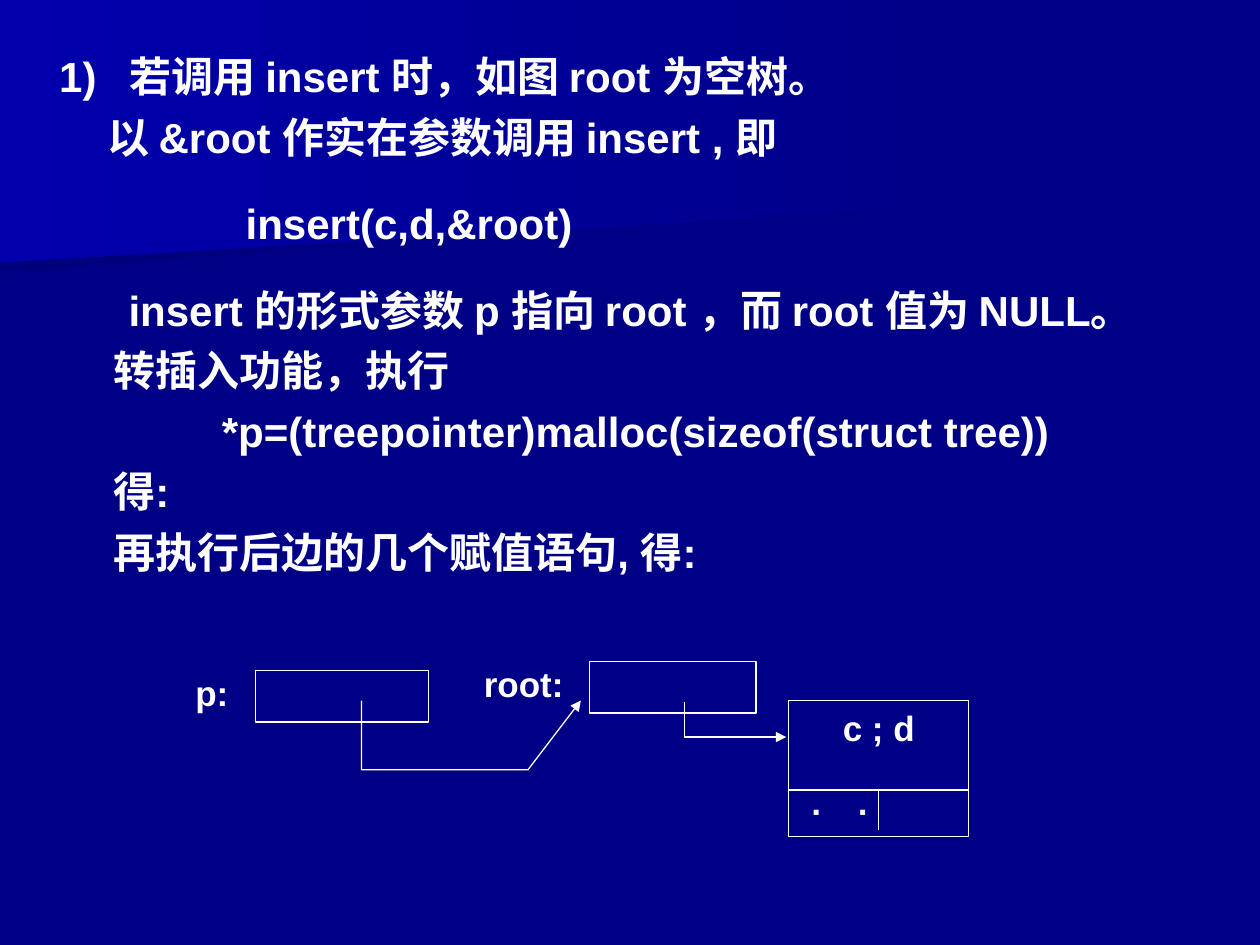
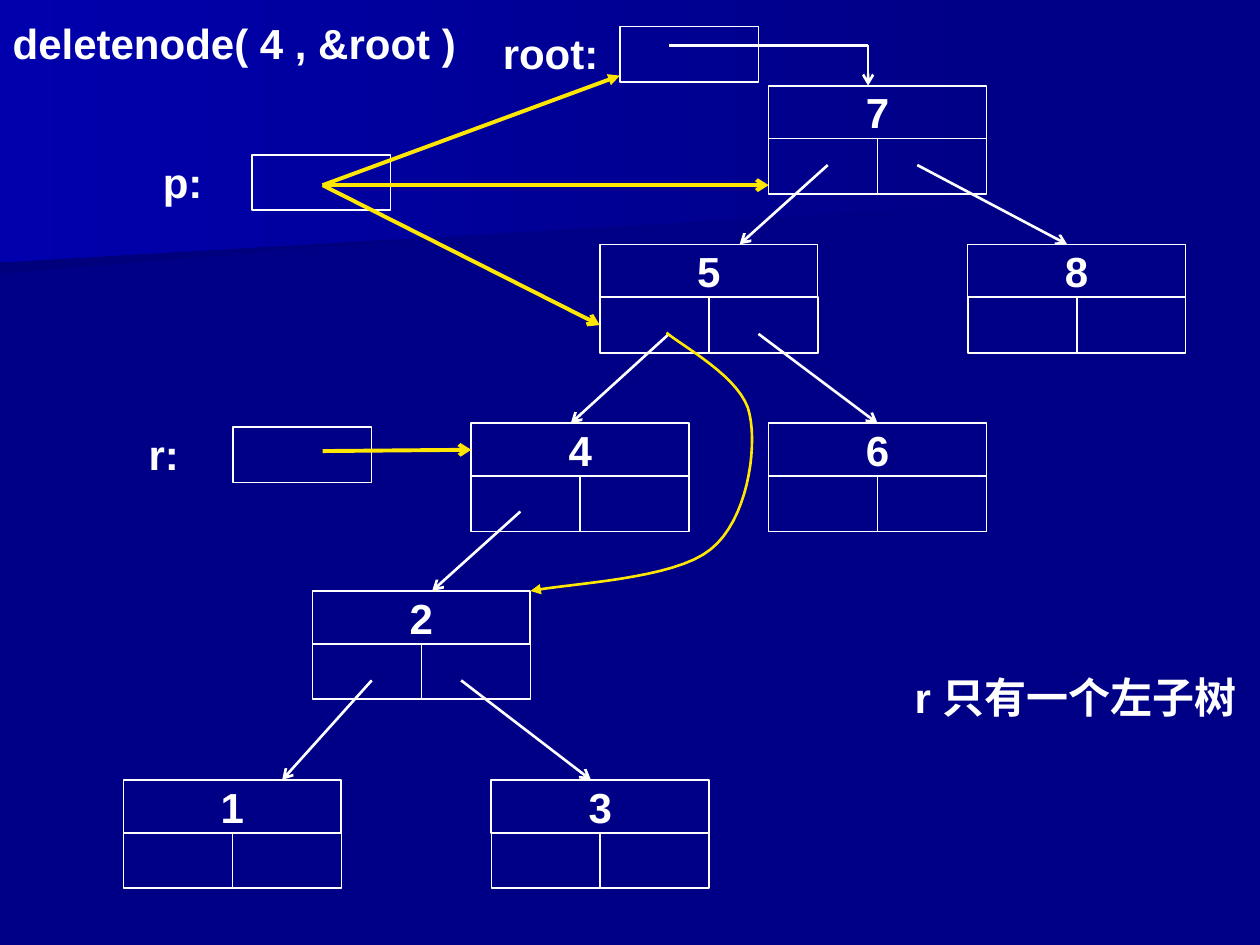
from lxml.etree import SubElement
from pptx import Presentation
from pptx.dml.color import RGBColor
from pptx.enum.shapes import MSO_CONNECTOR as CONN, MSO_SHAPE as SHAPE
from pptx.enum.text import MSO_ANCHOR as ANCHOR, MSO_AUTO_SIZE as AUTO, PP_ALIGN as ALIGN
from pptx.oxml.ns import qn
from pptx.util import Inches, Pt

NAVY = RGBColor(0x00, 0x00, 0x86)
DARK = RGBColor(0x00, 0x00, 0x7D)
GLOW = RGBColor(0x00, 0x00, 0xAC)
WHITE = RGBColor(0xFF, 0xFF, 0xFF)
YELLOW = RGBColor(0xFF, 0xE7, 0x01)
FONT = "Arial"

BANDS = [
    (DARK, [(7.78, 1.53), (0, 2.17), (0, 1.01), (7.79, 1.01), (7.78, 1.28)]),
    (GLOW, [(7.92, 1.62), (0, 2.08), (0, 0), (7.92, 0)]),
]

STEPS = [
    ("1)\t若调用 insert 时，如图 root 为空树。", 0.66, -0.56, 0),
    ("以 &root 作实在参数调用 insert , 即", 0.48, 0, 0),
    ("insert(c,d,&root)", 1.58, 0, 15),
    ("insert 的形式参数 p 指向 root ，而 root 值为 NULL。", 0, 0.65, 0),
    ("转插入功能，执行", 0.53, 0, 0),
    ("*p=(treepointer)malloc(sizeof(struct tree))", 1.39, 0, 0),
    ("得:", 0.53, 0, 0),
    ("再执行后边的几个赋值语句, 得:", 0.53, 0, 0),
]
POINTERS = [
    ("p:", 1.54, (2.03, 5.32, 1.37, 0.41), [(2.87, 5.56), (2.87, 6.11), (4.19, 6.11), (4.61, 5.56)]),
    ("root:", 3.83, (4.68, 5.25, 1.32, 0.41), [(5.43, 5.57), (5.43, 5.85), (6.24, 5.85)]),
]
RECORD = (6.26, 5.56, 1.43, 1.08)
RECORD_SPLIT = 6.27

NODE_W, VALUE_H, LINK_H = 1.73, 0.42, 0.44
ROWS = [0.68, 1.94, 3.36, 4.69, 6.19]
NODES = {7: (6.1, 0), 5: (4.76, 1), 8: (7.68, 1), 4: (3.74, 2), 6: (6.1, 2),
         2: (2.48, 3), 1: (0.98, 4), 3: (3.9, 4)}
EDGES = [(5, 6.57, 1.31, 5.87), (8, 7.28, 1.31, 8.47), (4, 5.31, 2.65, 4.53),
         (6, 6.02, 2.65, 6.97), (2, 4.13, 4.06, 3.43), (1, 2.95, 5.4, 2.24),
         (3, 3.66, 5.4, 4.69)]
VARIABLES = [("root:", 3.82, 0.21), ("p:", 0.9, 1.23), ("r:", 0.75, 3.39)]
VARIABLE_W = 1.1
P_CENTRE = (2.56, 1.47)
RELINK_START = (5.29, 2.64)
RELINK_CURVES = [
    [(5.4, 2.74), (5.9, 3), (5.95, 3.29)],
    [(6.01, 3.57), (5.93, 4.13), (5.64, 4.36)],
    [(5.35, 4.6), (4.51, 4.63), (4.21, 4.69)],
]


def inches(values):
    return [Inches(v) for v in values]


def add_run(p, text, size):
    r = p.add_run()
    r.text = text
    r.font.name, r.font.size, r.font.bold = FONT, Pt(size), True
    r.font.color.rgb = WHITE


def write(tf, text, size, align, margin=0.01, anchor=ANCHOR.TOP, wrap=True):
    tf.word_wrap = wrap
    tf.vertical_anchor = anchor
    tf.margin_left = tf.margin_right = tf.margin_top = tf.margin_bottom = Inches(margin)
    p = tf.paragraphs[0]
    p.alignment = align
    add_run(p, text, size)


def place(sp, box):
    sp.left, sp.top, sp.width, sp.height = inches(box)


def set_indent(p, left, first):
    pPr = p._p.get_or_add_pPr()
    pPr.set("marL", str(Inches(left)))
    pPr.set("indent", str(Inches(first)))
    return pPr


def add_label(s, text, box, size, align, wrap=True):
    write(s.shapes.add_textbox(*inches(box)).text_frame, text, size, align, wrap=wrap)


def style_line(sp, color, width, head=None):
    sp.line.color.rgb = color
    sp.line.width = Pt(width)
    if head:
        SubElement(sp.element.spPr.find(qn("a:ln")), qn("a:tailEnd"), type=head)


def add_box(s, box, width):
    sp = s.shapes.add_shape(SHAPE.RECTANGLE, *inches(box))
    sp.shadow.inherit = False
    sp.fill.background()
    style_line(sp, WHITE, width)
    return sp


def add_line(s, start, end, color, width, head=None, target=None):
    c = s.shapes.add_connector(CONN.STRAIGHT, *inches(start + end))
    if target:
        c.end_connect(*target)
    style_line(c, color, width, head)
    SubElement(c.element.spPr, qn("a:effectLst"))


def add_outline(s, points, close=False):
    start, *rest = [inches(pt) for pt in points]
    fb = s.shapes.build_freeform(*start)
    fb.add_line_segments(rest, close=close)
    sp = fb.convert_to_shape()
    sp.shadow.inherit = False
    return sp


def add_path_arrow(s, points, color, width):
    sp = add_outline(s, points)
    sp.fill.background()
    style_line(sp, color, width, "triangle")


def curve_points(start, curves, steps=16):
    points = [start]
    for b, c, d in curves:
        a = points[-1]
        for t in (i / steps for i in range(1, steps + 1)):
            u = 1 - t
            points.append(tuple(u**3 * a[k] + 3 * u * u * t * b[k] + 3 * u * t * t * c[k] + t**3 * d[k]
                                for k in (0, 1)))
    return points


def decorate_master(prs, s):
    master = prs.slide_master
    master.background.fill.solid()
    master.background.fill.fore_color.rgb = NAVY
    for i, (color, points) in enumerate(BANDS):
        sp = add_outline(s, points, close=True)
        sp.line.fill.background()
        sp.fill.gradient()
        sp.fill.gradient_angle = 180
        for stop, rgb in zip(sp.fill.gradient_stops, (NAVY, color)):
            stop.color.rgb = rgb
        master.shapes.element.insert(2 + i, sp.element)


def build_insert(s):
    title = s.shapes.title
    title.element.getparent().remove(title.element)
    body = s.placeholders[1]
    place(body, (0.27, 0.27, 9.29, 4.36))
    tf = body.text_frame
    tf.word_wrap, tf.vertical_anchor, tf.auto_size = True, ANCHOR.MIDDLE, AUTO.SHAPE_TO_FIT_TEXT
    for i, (text, left, first, gap) in enumerate(STEPS):
        p = tf.add_paragraph() if i else tf.paragraphs[0]
        SubElement(set_indent(p, left, first), qn("a:buNone"))
        p.alignment, p.line_spacing = ALIGN.LEFT, 1.2
        p.space_before = p.space_after = Pt(gap)
        add_run(p, text, 24)

    for name, x, box, points in POINTERS:
        add_label(s, name, (x, box[1], box[0] - x, box[3]), 20, ALIGN.LEFT)
        add_box(s, box, 0.75)
        add_path_arrow(s, points, WHITE, 0.75)

    x, y, w, h = RECORD
    record = add_box(s, RECORD, 0.75)
    write(record.text_frame, "c ; d", 20, ALIGN.CENTER, 0.05)
    p = record.text_frame.add_paragraph()
    tabs = SubElement(set_indent(p, 0, 0.13), qn("a:tabLst"))
    SubElement(tabs, qn("a:tab"), pos=str(Inches(1.08)), algn="l")
    p.alignment, p.space_before = ALIGN.LEFT, Pt(23)
    add_run(p, "·\t·", 20)
    add_line(s, (x, RECORD_SPLIT), (x + w, RECORD_SPLIT), WHITE, 0.75)
    add_line(s, (x + w / 2, RECORD_SPLIT), (x + w / 2, 6.59), WHITE, 0.75)


def build_delete(s):
    place(s.shapes.title, (0.04, 0.13, 3.64, 0.43))
    write(s.shapes.title.text_frame, "deletenode( 4 , &root )", 24, ALIGN.CENTER)

    values, left_links = {}, {}
    for key, (x, row) in NODES.items():
        y = ROWS[row]
        values[key] = add_box(s, (x, y, NODE_W, VALUE_H), 1)
        write(values[key].text_frame, str(key), 24, ALIGN.CENTER, anchor=ANCHOR.MIDDLE)
        left_links[key], _ = [add_box(s, (x + i * NODE_W / 2, y + VALUE_H, NODE_W / 2, LINK_H), 1)
                              for i in (0, 1)]

    for child, x, y, end_x in EDGES:
        target = (values[child], 0) if child == 6 else None
        add_line(s, (x, y), (end_x, ROWS[NODES[child][1]]), WHITE, 1.5, "arrow", target)

    for name, x, y in VARIABLES:
        add_label(s, name, (x, y, VARIABLE_W, 0.43), 24, ALIGN.CENTER)
        add_box(s, (x + VARIABLE_W, y, VARIABLE_W, 0.44), 1)

    add_line(s, (5.31, 0.36), (6.89, 0.36), WHITE, 1.5)
    add_line(s, (6.89, 0.36), (6.89, ROWS[0]), WHITE, 1.5, "arrow")
    add_line(s, P_CENTRE, (4.92, 0.6), YELLOW, 2.25, "triangle")
    add_line(s, P_CENTRE, (6.1, 1.47), YELLOW, 2.25, "arrow")
    add_line(s, P_CENTRE, (4.76, 2.57), YELLOW, 2.25, "arrow", (left_links[5], 1))
    add_line(s, (2.56, 3.58), (3.74, 3.58), YELLOW, 2.25, "arrow", (values[4], 1))
    add_path_arrow(s, curve_points(RELINK_START, RELINK_CURVES), YELLOW, 1.5)
    add_label(s, "r 只有一个左子树", (7.25, 5.32, 2.66, 0.43), 24, ALIGN.LEFT, wrap=False)


def main():
    prs = Presentation()
    prs.slide_width, prs.slide_height = Inches(10), Inches(7.5)
    insert = prs.slides.add_slide(prs.slide_layouts[1])
    delete = prs.slides.add_slide(prs.slide_layouts[5])
    decorate_master(prs, insert)
    build_insert(insert)
    build_delete(delete)
    prs.save("out.pptx")


if __name__ == "__main__":
    main()
